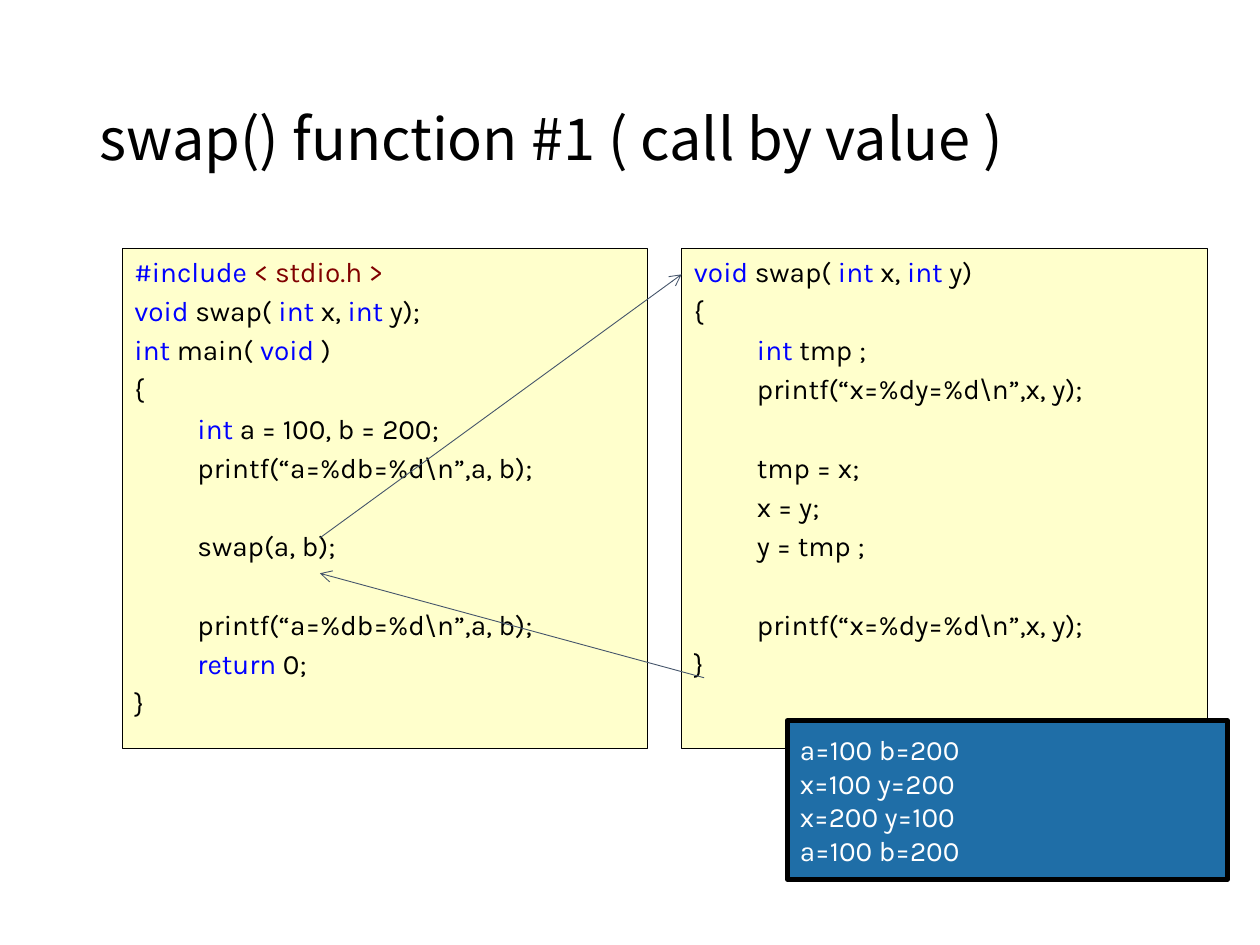
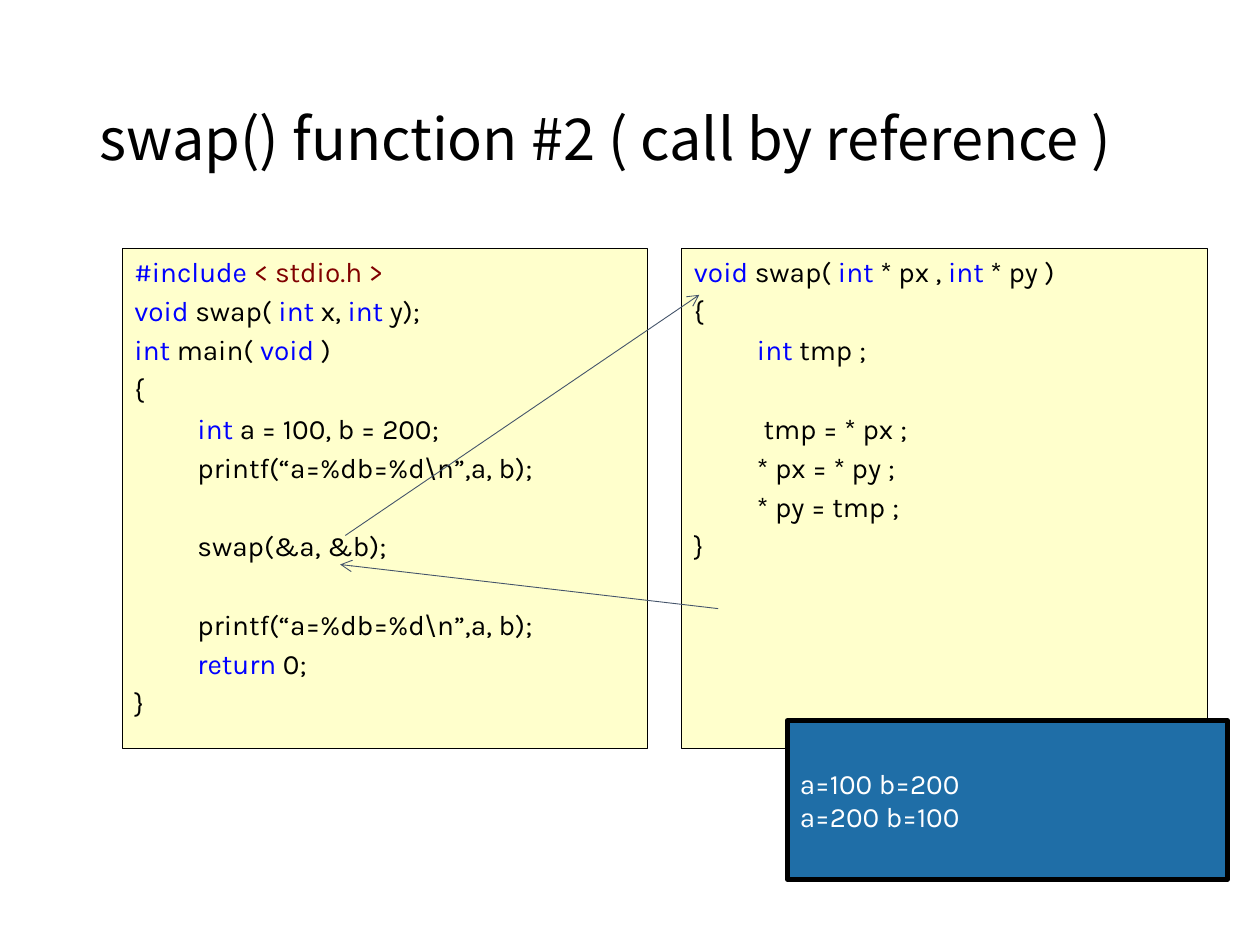
import itertools

import pptx
import pptx.dml.color
import pptx.enum.shapes
import pptx.enum.text
import pptx.oxml.ns
import pptx.util
from lxml import etree

Pt = pptx.util.Pt
TITLE_FONT, CODE_FONT = "Noto Sans CJK KR", "Karla"
BLACK, WHITE, CREAM, BLUE = "000000", "FFFFFF", "FFFFCC", "1F6EA7"
KEYWORD, HEADER, ARROW = "0000FF", "800000", "44546A"
WORD_COLOURS = dict.fromkeys(("#include", "void", "int", "return"), KEYWORD)
WORD_COLOURS.update(dict.fromkeys(("<", "stdio.h", ">"), HEADER))

# Boxes are left, top, width, height in points
TITLE_BOX = (49.7, 28.8, 620.6, 104.4)
CODE_AREA = (69.8, 141.8, 620, 286)
CONSOLE_BOX = (450, 411.8, 251.3, 90.7)
CODE_GAP = 19.4
LINE_SPACE, LINE_PITCH = 3.2, 22.4
TAB = " " * 4

MAIN_CODE = r"""#include < stdio.h >
void swap( int x, int y);
int main( void )
{
    int a = 100, b = 200;
    printf(“a=%db=%d\n”,a, b);

    CALL

    printf(“a=%db=%d\n”,a, b);
    return 0;
}"""

SWAP_BY_VALUE = r"""void swap( int x, int y)
{
    int tmp ;
    printf(“x=%dy=%d\n”,x, y);

    tmp = x;
    x = y;
    y = tmp ;

    printf(“x=%dy=%d\n”,x, y);
}"""

SWAP_BY_REFERENCE = """void swap( int * px , int * py )
{
    int tmp ;

     tmp = * px ;
    * px = * py ;
    * py = tmp ;
}"""

# Arrow ends are measured from the corner of the code area
SLIDES = [
    {
        "title": "swap() function #1 ( call by value )",
        "call": "swap(a, b);",
        "swap_code": SWAP_BY_VALUE,
        "arrows": [((113, 165.6), (319.7, 15)), ((332.6, 245.5), (113, 185.8))],
        "output": "a=100 b=200\nx=100 y=200\nx=200 y=100\na=100 b=200",
    },
    {
        "title": "swap() function #2 ( call by reference )",
        "call": "swap(&a, &b);",
        "swap_code": SWAP_BY_REFERENCE,
        "arrows": [((127.5, 164.2), (329.8, 26.7)), ((340.6, 206), (124.6, 180.8))],
        "output": "a=100 b=200\na=200 b=100",
    },
]


def colour(value):
    return pptx.dml.color.RGBColor.from_string(value)


def style_font(font, name, size, value):
    font.name = name
    font.size = Pt(size)
    font.color.rgb = colour(value)


def add_title(page, text, box):
    title = page.shapes.title
    title.left, title.top, title.width, title.height = map(Pt, box)
    frame = title.text_frame
    frame.text = text
    frame.auto_size = pptx.enum.text.MSO_AUTO_SIZE.NONE
    frame.vertical_anchor = pptx.enum.text.MSO_ANCHOR.MIDDLE
    para = frame.paragraphs[0]
    para.alignment = pptx.enum.text.PP_ALIGN.LEFT
    para.line_spacing = 0.9
    style_font(para.runs[0].font, TITLE_FONT, 33, BLACK)


def add_panel(page, box, fill, line_width, anchor):
    """Add a black-edged rectangle and return its text frame."""
    panel = page.shapes.add_shape(
        pptx.enum.shapes.MSO_SHAPE.RECTANGLE, *map(Pt, box))
    panel.shadow.inherit = False
    panel.fill.solid()
    panel.fill.fore_color.rgb = colour(fill)
    panel.line.color.rgb = colour(BLACK)
    panel.line.width = Pt(line_width)
    frame = panel.text_frame
    frame.word_wrap = True
    frame.vertical_anchor = anchor
    return frame


def add_code_line(para, line):
    """Write one line, with one run for each stretch of one colour."""
    indented = line.startswith(TAB)
    properties = para._p.get_or_add_pPr()
    properties.set("marL", str(Pt(63 if indented else 27)))
    properties.set("indent", str(Pt(-27)))
    para.level = int(indented)
    para.alignment = pptx.enum.text.PP_ALIGN.LEFT
    words = line.removeprefix(TAB).split(" ")
    pieces = [(WORD_COLOURS.get(word, BLACK), word + " ") for word in words[:-1]]
    pieces.append((WORD_COLOURS.get(words[-1], BLACK), words[-1]))
    for value, group in itertools.groupby(pieces, key=lambda piece: piece[0]):
        span = para.add_run()
        span.text = "".join(text for _, text in group)
        style_font(span.font, CODE_FONT, 16, value)


def add_code(page, code, box):
    """Show a listing, turning its empty lines into space before the next."""
    frame = add_panel(page, box, CREAM, 0.25, pptx.enum.text.MSO_ANCHOR.TOP)
    para, space = frame.paragraphs[0], 0
    for number, line in enumerate(code.split("\n")):
        if not line:
            space += LINE_PITCH
            continue
        if number:
            para = frame.add_paragraph()
        para.space_before = Pt(space)
        add_code_line(para, line)
        space = LINE_SPACE


def add_arrow(page, start, end, left, top):
    ends = [Pt(start[0] + left), Pt(start[1] + top),
            Pt(end[0] + left), Pt(end[1] + top)]
    arrow = page.shapes.add_connector(
        pptx.enum.shapes.MSO_CONNECTOR.STRAIGHT, *ends)
    arrow.line.color.rgb = colour(ARROW)
    arrow.line.width = Pt(0.5)
    qn = pptx.oxml.ns.qn
    etree.SubElement(arrow.line._get_or_add_ln(), qn("a:tailEnd"), type="arrow")
    etree.SubElement(arrow._element.spPr, qn("a:effectLst"))


def add_code_area(page, main_code, swap_code, arrows, box):
    """Set the caller and the function side by side, joined by arrows."""
    left, top, width, height = box
    code_width = (width - CODE_GAP) / 2
    for column, code in enumerate((main_code, swap_code)):
        code_left = left + column * (code_width + CODE_GAP)
        add_code(page, code, (code_left, top, code_width, height))
    for start, end in arrows:
        add_arrow(page, start, end, left, top)


def add_console(page, output, box):
    frame = add_panel(page, box, BLUE, 3, pptx.enum.text.MSO_ANCHOR.MIDDLE)
    frame.text = output
    for para in frame.paragraphs:
        para.alignment = pptx.enum.text.PP_ALIGN.JUSTIFY
        style_font(para.runs[0].font, CODE_FONT, 16, WHITE)


def add_swap_slide(deck, content):
    page = deck.slides.add_slide(deck.slide_layouts.get_by_name("Title Only"))
    add_title(page, content["title"], TITLE_BOX)
    main_code = MAIN_CODE.replace("CALL", content["call"])
    add_code_area(page, main_code, content["swap_code"], content["arrows"], CODE_AREA)
    add_console(page, content["output"], CONSOLE_BOX)


def main():
    deck = pptx.Presentation()
    deck.slide_width, deck.slide_height = Pt(720), Pt(540)
    for content in SLIDES:
        add_swap_slide(deck, content)
    deck.save("out.pptx")


if __name__ == "__main__":
    main()
